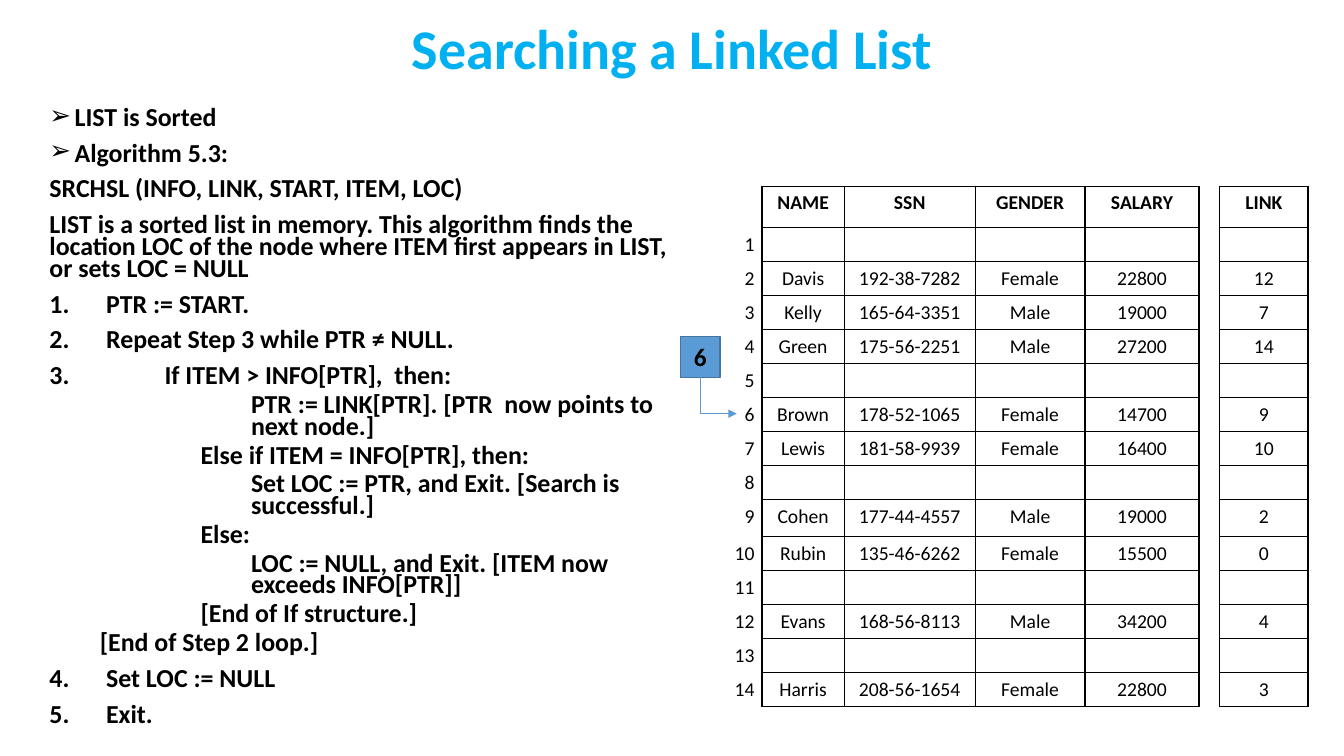
"""Build the slide on searching a sorted linked list."""
import lxml.etree
import pptx
import pptx.dml.color
import pptx.enum.shapes
import pptx.enum.text
import pptx.oxml.ns
import pptx.util

Pt = pptx.util.Pt
ALIGN = pptx.enum.text.PP_ALIGN
ANCHOR = pptx.enum.text.MSO_ANCHOR
BLACK = pptx.dml.color.RGBColor(0x00, 0x00, 0x00)
SKY = pptx.dml.color.RGBColor(0x00, 0xB0, 0xF0)
BLUE = pptx.dml.color.RGBColor(0x5B, 0x9B, 0xD5)
DARK_BLUE = pptx.dml.color.RGBColor(0x43, 0x73, 0x9E)
FONT = "Calibri"
PLAIN_TABLE_STYLE = "{2D5ABB26-0587-4C30-8999-92F81FD0307C}"

ARROW, NUMBER, NONE = "arrow", "number", "none"
STEP_INDENT = 40.5
ALGORITHM = [
    (0, ARROW, 18, "LIST is Sorted"),
    (0, ARROW, 18, "Algorithm 5.3:"),
    (0, NONE, 0, "SRCHSL (INFO, LINK, START, ITEM, LOC)"),
    (0, NONE, 0, "LIST is a sorted list in memory. This algorithm finds the location LOC "
                 "of the node where ITEM first appears in LIST, or sets LOC = NULL"),
    (0, NUMBER, STEP_INDENT, "PTR := START."),
    (0, NUMBER, STEP_INDENT, "Repeat Step 3 while PTR ≠ NULL."),
    (0, NUMBER, 82.3, "If ITEM > INFO[PTR],  then:"),
    (4, NONE, 144, "PTR := LINK[PTR]. [PTR  now points to next node.]"),
    (3, NONE, 108, "Else if ITEM = INFO[PTR], then:"),
    (4, NONE, 144, "Set LOC := PTR, and Exit. [Search is successful.]"),
    (3, NONE, 108, "Else:"),
    (4, NONE, 144, "LOC := NULL, and Exit. [ITEM now exceeds INFO[PTR]]"),
    (3, NONE, 108, "[End of If structure.]"),
    (1, NONE, 36, "[End of Step 2 loop.]"),
    (0, NUMBER, STEP_INDENT, "Set LOC := NULL"),
    (0, NUMBER, STEP_INDENT, "Exit."),
]

HEADINGS = ["", "NAME", "SSN", "GENDER", "SALARY", "", "LINK"]
RECORDS = {
    2: ("Davis", "192-38-7282", "Female", "22800", "", "12"),
    3: ("Kelly", "165-64-3351", "Male", "19000", "", "7"),
    4: ("Green", "175-56-2251", "Male", "27200", "", "14"),
    6: ("Brown", "178-52-1065", "Female", "14700", "", "9"),
    7: ("Lewis", "181-58-9939", "Female", "16400", "", "10"),
    9: ("Cohen", "177-44-4557", "Male", "19000", "", "2"),
    10: ("Rubin", "135-46-6262", "Female", "15500", "", "0"),
    12: ("Evans", "168-56-8113", "Male", "34200", "", "4"),
    14: ("Harris", "208-56-1654", "Female", "22800", "", "3"),
}
RECORD_COUNT = 14
COLUMN_WIDTHS = [30.2, 58.8, 93.5, 78.5, 81.4, 14.9, 63]
ROW_HEIGHTS = {0: 29.4, 9: 26.5}
ROW_HEIGHT = 24.3
NUMBER_COLUMN, GAP_COLUMN = 0, 5


def add_child(parent, tag, **attributes):
    """Append a DrawingML element and return it."""
    name = pptx.oxml.ns.qn("a:" + tag)
    return lxml.etree.SubElement(parent, name, attributes)


def place(shape, left, top, width, height):
    """Move and size a shape, in points."""
    shape.left, shape.top = Pt(left), Pt(top)
    shape.width, shape.height = Pt(width), Pt(height)


def add_span(para, text, size, bold=True, color=BLACK):
    """Add one formatted run to a paragraph."""
    span = para.add_run()
    span.text = text
    span.font.name = FONT
    span.font.size = Pt(size)
    span.font.bold = bold
    span.font.color.rgb = color


def fill_title(slide):
    """Place and write the slide title."""
    title = slide.shapes.title
    place(title, 66, 9.5, 828, 54)
    frame = title.text_frame
    frame.auto_size = pptx.enum.text.MSO_AUTO_SIZE.NONE
    frame.vertical_anchor = ANCHOR.MIDDLE
    para = frame.paragraphs[0]
    para.alignment = ALIGN.CENTER
    para.line_spacing = 0.9
    add_span(para, "Searching a Linked List", 40, color=SKY)


def set_bullet(para, bullet, indent):
    """Set the left indent and the bullet of a paragraph."""
    properties = para._p.get_or_add_pPr()
    hanging = 0 if bullet == NONE else -indent
    properties.set("marL", str(Pt(indent)))
    properties.set("indent", str(Pt(hanging)))
    if bullet == ARROW:
        add_child(properties, "buChar", char="➢")
    elif bullet == NUMBER:
        add_child(properties, "buFont", typeface="+mj-lt")
        add_child(properties, "buAutoNum", type="arabicPeriod")
    else:
        add_child(properties, "buNone")


def fill_algorithm(slide):
    """Write the algorithm steps in the body placeholder."""
    body = slide.placeholders[1]
    place(body, 28.1, 74.2, 458, 452)
    frame = body.text_frame
    frame.auto_size = pptx.enum.text.MSO_AUTO_SIZE.NONE
    frame.vertical_anchor = ANCHOR.TOP
    for index, (level, bullet, indent, text) in enumerate(ALGORITHM):
        para = frame.add_paragraph() if index else frame.paragraphs[0]
        para.level = level
        para.alignment = ALIGN.LEFT
        para.line_spacing = 0.7
        para.space_before = Pt(5 if level else 10)
        para.space_after = Pt(0)
        set_bullet(para, bullet, indent)
        add_span(para, text, 18.5)


def set_borders(cell, sides):
    """Draw the named sides of a cell in black and hide the others."""
    properties = cell._tc.get_or_add_tcPr()
    for side in "LRTB":
        line = add_child(properties, "ln" + side, w=str(Pt(1)))
        if side in sides:
            add_child(add_child(line, "solidFill"), "srgbClr", val=str(BLACK))
        else:
            add_child(line, "noFill")


def format_cell(cell, text, column, bold):
    """Write one table cell with its borders and margins."""
    set_borders(cell, {NUMBER_COLUMN: "R", GAP_COLUMN: "LR"}.get(column, "LRTB"))
    cell.fill.background()
    cell.margin_left = cell.margin_right = Pt(5.4)
    cell.margin_top = cell.margin_bottom = Pt(3.6)
    para = cell.text_frame.paragraphs[0]
    para.alignment = ALIGN.RIGHT if column == NUMBER_COLUMN else ALIGN.CENTER
    if text:
        add_span(para, text, 14, bold)
    else:
        add_child(para._p, "endParaRPr", sz="1400")


def add_records(slide):
    """Add the table of linked records."""
    rows = [HEADINGS]
    for number in range(1, RECORD_COUNT + 1):
        rows.append([str(number), *RECORDS.get(number, [""] * 6)])
    heights = [ROW_HEIGHTS.get(index, ROW_HEIGHT) for index in range(len(rows))]
    frame = slide.shapes.add_table(
        len(rows), len(HEADINGS), Pt(514.1), Pt(133),
        Pt(sum(COLUMN_WIDTHS)), Pt(sum(heights)))
    table = frame.table
    table.first_row = table.horz_banding = False
    style = table._tbl.tblPr.find(pptx.oxml.ns.qn("a:tableStyleId"))
    style.text = PLAIN_TABLE_STYLE
    for column, width in zip(table.columns, COLUMN_WIDTHS):
        column.width = Pt(width)
    for row_index, texts in enumerate(rows):
        table.rows[row_index].height = Pt(heights[row_index])
        for column, text in enumerate(texts):
            format_cell(table.cell(row_index, column), text, column, row_index == 0)
    table.cell(0, GAP_COLUMN).merge(table.cell(1, GAP_COLUMN))


def add_start_box(slide):
    """Add the box that holds the start index."""
    box = slide.shapes.add_shape(
        pptx.enum.shapes.MSO_SHAPE.RECTANGLE, Pt(486), Pt(240.2), Pt(28.4), Pt(29.3))
    box.shadow.inherit = False
    box.fill.solid()
    box.fill.fore_color.rgb = BLUE
    box.line.color.rgb = DARK_BLUE
    box.line.width = Pt(1)
    box.text_frame.vertical_anchor = ANCHOR.MIDDLE
    para = box.text_frame.paragraphs[0]
    para.alignment = ALIGN.CENTER
    add_span(para, "6", 18)


def add_start_arrow(slide):
    """Add the arrow that runs down from the box and right to its row."""
    arrow = slide.shapes.add_connector(
        pptx.enum.shapes.MSO_CONNECTOR.ELBOW, Pt(500.2), Pt(269.5), Pt(526.2), Pt(295.5))
    arrow.line.color.rgb = BLUE
    arrow.line.width = Pt(0.5)
    properties = arrow._element.spPr
    properties.find(pptx.oxml.ns.qn("a:prstGeom")).set("prst", "bentConnector2")
    transform = properties.find(pptx.oxml.ns.qn("a:xfrm"))
    transform.set("rot", str(270 * 60000))
    transform.set("flipH", "1")
    add_child(arrow.line._get_or_add_ln(), "tailEnd", type="triangle")
    add_child(properties, "effectLst")


def main():
    """Build and save the deck."""
    deck = pptx.Presentation()
    deck.slide_width, deck.slide_height = Pt(960), Pt(540)
    slide = deck.slides.add_slide(deck.slide_layouts[1])
    fill_title(slide)
    fill_algorithm(slide)
    add_records(slide)
    add_start_box(slide)
    add_start_arrow(slide)
    deck.save("out.pptx")


if __name__ == "__main__":
    main()
